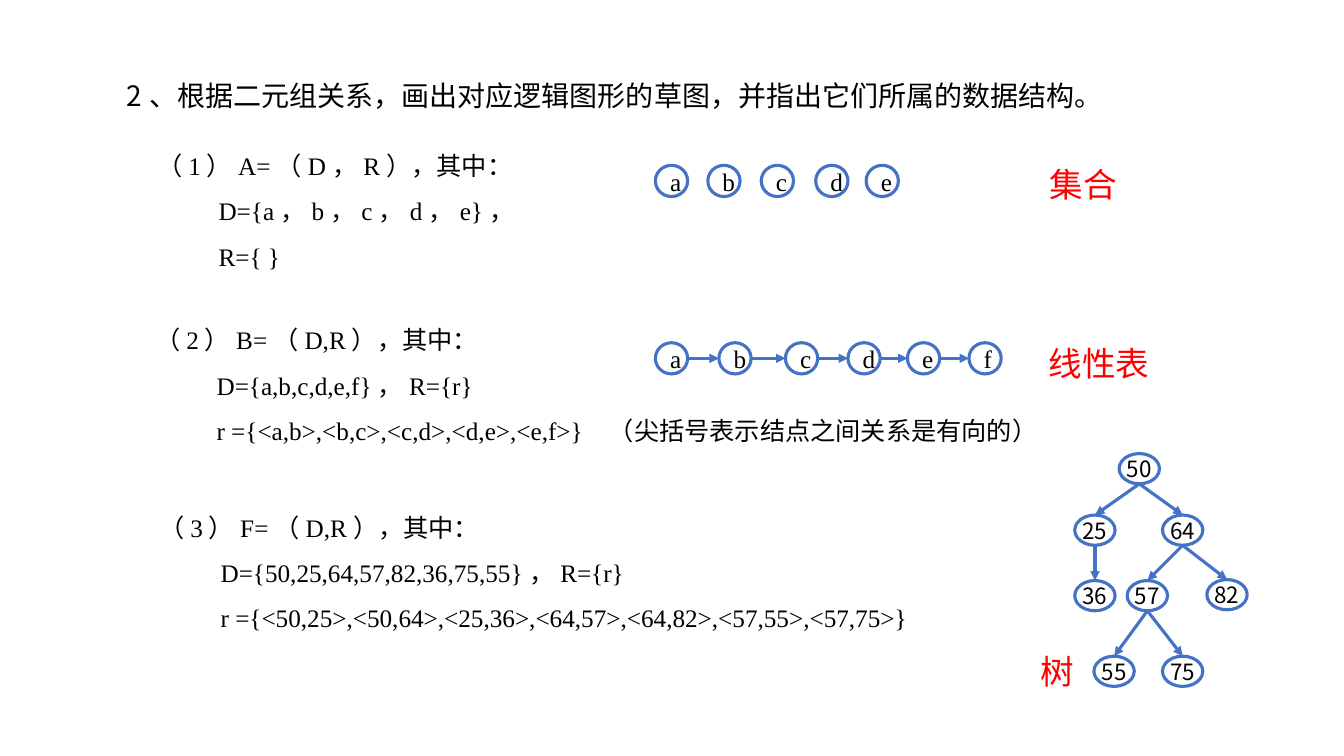
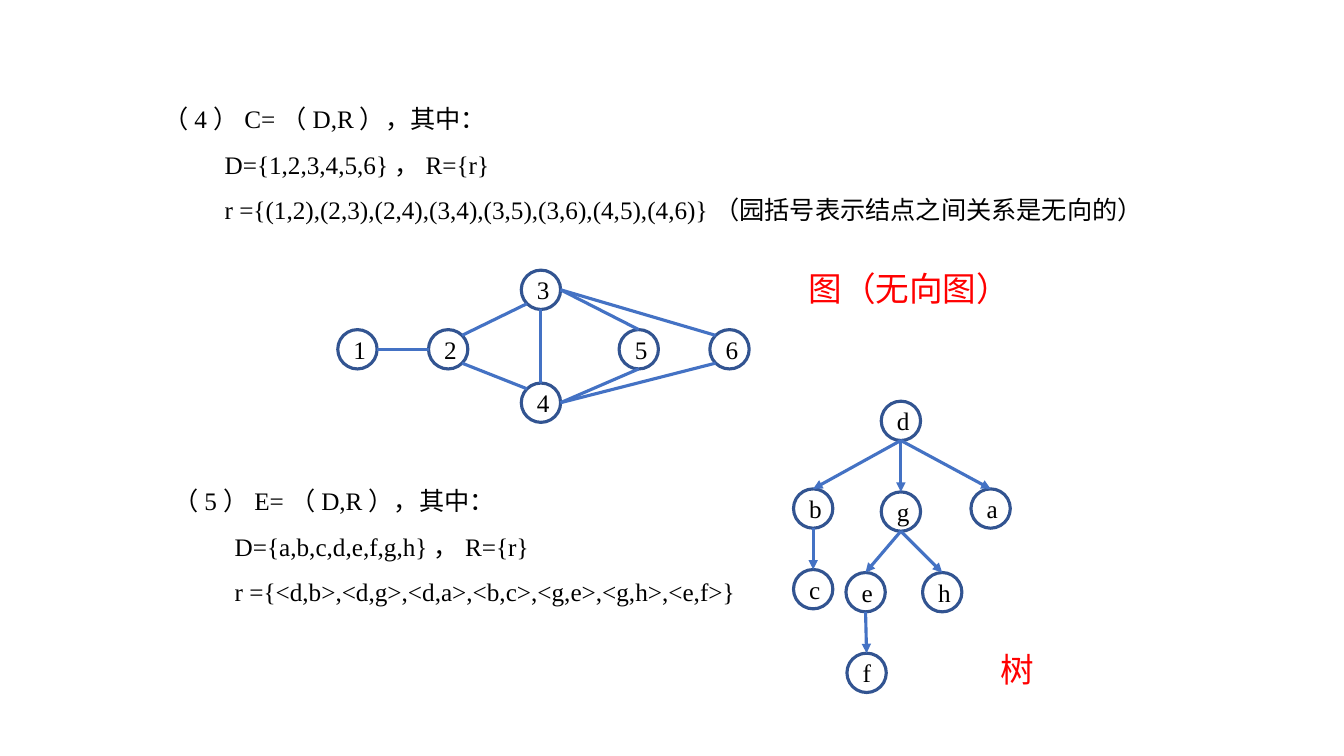
from dataclasses import dataclass
from math import cos, pi, sin
from typing import NamedTuple

from lxml import etree
from pptx import Presentation
from pptx import util as u
from pptx.dml.color import RGBColor
from pptx.enum import shapes, text
from pptx.oxml.ns import qn

PX = 9144


@dataclass(frozen=True)
class Theme:
    black: str = "000000"
    red: str = "FF0000"
    blue: str = "4472C4"
    navy: str = "325491"
    sans: str = "Noto Sans CJK SC"
    serif: str = "Times New Roman"
    head: int = 20
    body: int = 18
    tag: int = 24
    small: int = 16
    line: float = 2.25
    lead: float = 1.5
    indent: int = 61
    tab: int = 448


T = Theme()


class Kind(NamedTuple):
    wide: int
    high: int
    edge: str
    font: str
    size: int
    pad: bool


class Node(NamedTuple):
    name: str
    x: int
    y: int


class Link(NamedTuple):
    start: str
    end: str
    out: int = 4
    into: int = 0


class Graph(NamedTuple):
    kind: Kind
    nodes: list[Node]
    links: list[Link]
    arrow: bool = True


class Block(NamedTuple):
    x: int
    y: int
    wide: int
    lines: list[str]


class Tag(NamedTuple):
    x: int
    y: int
    label: str


class Page(NamedTuple):
    title: str
    blocks: list[Block]
    graphs: list[Graph]
    tags: list[Tag]


BEAD = Kind(32, 31, T.blue, T.serif, T.body, True)
OVAL = Kind(40, 30, T.blue, T.sans, T.small, False)
DISC = Kind(39, 39, T.navy, T.serif, T.body, True)


def row(names: str, spots: list[int], y: int) -> list[Node]:
    return [Node(name, x, y) for name, x in zip(names, spots)]


def tree(pairs: str) -> list[Link]:
    return [Link(*pair.split("-")) for pair in pairs.split()]


def chain(names: str) -> list[Link]:
    return [Link(a, b, 6, 2) for a, b in zip(names, names[1:])]


PAGES = [
    Page(
        "2、根据二元组关系，画出对应逻辑图形的草图，并指出它们所属的数据结构。",
        [
            Block(146, 129, 667, ["（1）A=（D，R），其中：", "D={a，b，c，d，e}，", "R={ }"]),
            Block(144, 302, 974, [
                "（2）B=（D,R），其中：",
                "D={a,b,c,d,e,f}，R={r}",
                "r ={<a,b>,<b,c>,<c,d>,<d,e>,<e,f>}\t（尖括号表示结点之间关系是有向的）",
            ]),
            Block(148, 488, 780, [
                "（3）F=（D,R），其中：",
                "D={50,25,64,57,82,36,75,55}，R={r}",
                "r ={<50,25>,<50,64>,<25,36>,<64,57>,<64,82>,<57,55>,<57,75>}",
            ]),
        ],
        [
            Graph(BEAD, row("abcde", [650, 702, 755, 809, 859], 164), []),
            Graph(BEAD, row("abcdef", [650, 713, 779, 841, 900, 961], 340), chain("abcdef")),
            Graph(
                OVAL,
                [
                    Node("50", 1110, 450),
                    Node("25", 1066, 511), Node("64", 1153, 511),
                    Node("36", 1066, 576), Node("57", 1118, 576), Node("82", 1197, 575),
                    Node("55", 1085, 651), Node("75", 1153, 651),
                ],
                tree("50-25 50-64 25-36 64-57 64-82 57-55 57-75"),
            ),
        ],
        [Tag(1031, 158, "集合"), Tag(1030, 335, "线性表"), Tag(1022, 641, "树")],
    ),
    Page(
        "",
        [
            Block(152, 83, 1006, [
                "（4）C=（D,R），其中：",
                "D={1,2,3,4,5,6}，R={r}",
                "r ={(1,2),(2,3),(2,4),(3,4),(3,5),(3,6),(4,5),(4,6)}（园括号表示结点之间关系是无向的）",
            ]),
            Block(162, 462, 600, [
                "（5）E=（D,R），其中：",
                "D={a,b,c,d,e,f,g,h}，R={r}",
                "r ={<d,b>,<d,g>,<d,a>,<b,c>,<g,e>,<g,h>,<e,f>}",
            ]),
        ],
        [
            Graph(
                DISC,
                row("1256", [335, 425, 614, 704], 327) + [Node("3", 517, 268), Node("4", 517, 380)],
                [
                    Link("1", "2", 6, 2), Link("2", "3", 7, 3), Link("2", "4", 5, 1),
                    Link("3", "4"), Link("3", "5", 6, 0), Link("4", "5", 6, 4),
                    Link("3", "6", 6, 1), Link("4", "6", 6, 3),
                ],
                False,
            ),
            Graph(
                DISC,
                [
                    Node("d", 874, 398),
                    Node("b", 787, 485), Node("g", 874, 488), Node("a", 963, 485),
                    Node("c", 787, 565), Node("e", 839, 568), Node("h", 915, 568),
                    Node("f", 840, 648),
                ],
                tree("d-b d-g d-a b-c g-e g-h e-f"),
            ),
        ],
        [Tag(792, 261, "图（无向图）"), Tag(982, 639, "树")],
    ),
]


def write(para, words: str, font: str, size: int, tint: str) -> None:
    run = para.add_run()
    run.text = words
    run.font.name = font
    run.font.size = u.Pt(size)
    run.font.color.rgb = RGBColor.from_string(tint)
    east = etree.SubElement(run.font._element, qn("a:ea"))
    east.set("typeface", T.sans)


def frame(slide, x: int, y: int, wide: int, high: int, wrap: bool = True):
    box = slide.shapes.add_textbox(x * PX, y * PX, wide * PX, high * PX).text_frame
    box.word_wrap = wrap
    box.auto_size = text.MSO_AUTO_SIZE.SHAPE_TO_FIT_TEXT
    return box


def draw_block(slide, block: Block) -> None:
    box = frame(slide, block.x, block.y, block.wide, 141)
    for i, words in enumerate(block.lines):
        para = box.add_paragraph() if i else box.paragraphs[0]
        props = para._p.get_or_add_pPr()
        if i:
            props.set("marL", "0")
            props.set("indent", str(T.indent * PX))
        if "\t" in words:
            tabs = etree.SubElement(props, qn("a:tabLst"))
            etree.SubElement(tabs, qn("a:tab"), pos=str(T.tab * PX), algn="l")
        para.line_spacing = T.lead
        write(para, words, T.serif, T.body, T.black)


def draw_tag(slide, tag: Tag) -> None:
    box = frame(slide, tag.x, tag.y, 34 * len(tag.label) + 20, 50, False)
    write(box.paragraphs[0], tag.label, T.sans, T.tag, T.red)


def draw_node(group, node: Node, kind: Kind):
    oval = group.shapes.add_shape(
        shapes.MSO_SHAPE.OVAL, node.x * PX, node.y * PX, kind.wide * PX, kind.high * PX)
    oval.shadow.inherit = False
    oval.fill.background()
    oval.line.color.rgb = RGBColor.from_string(kind.edge)
    oval.line.width = u.Pt(T.line)
    box = oval.text_frame
    box.vertical_anchor = text.MSO_ANCHOR.MIDDLE
    if not kind.pad:
        box.margin_left = box.margin_right = box.margin_top = box.margin_bottom = 0
    para = box.paragraphs[0]
    para.alignment = text.PP_ALIGN.CENTER
    write(para, node.name, kind.font, kind.size, T.black)
    return oval


def port(node: Node, kind: Kind, site: int) -> tuple[int, int]:
    turn = site * pi / 4
    x = node.x + kind.wide / 2 * (1 - sin(turn))
    y = node.y + kind.high / 2 * (1 - cos(turn))
    return round(x * PX), round(y * PX)


def draw_graph(slide, graph: Graph) -> None:
    group = slide.shapes.add_group_shape()
    spots = {node.name: node for node in graph.nodes}
    ovals = {node.name: draw_node(group, node, graph.kind) for node in graph.nodes}
    for link in graph.links:
        start = port(spots[link.start], graph.kind, link.out)
        end = port(spots[link.end], graph.kind, link.into)
        line = group.shapes.add_connector(shapes.MSO_CONNECTOR.STRAIGHT, *start, *end)
        line.line.color.rgb = RGBColor.from_string(T.blue)
        line.line.width = u.Pt(T.line)
        props = line._element.spPr
        if graph.arrow:
            etree.SubElement(props.find(qn("a:ln")), qn("a:tailEnd"), type="triangle")
        etree.SubElement(props, qn("a:effectLst"))
        glue = line._element.find(".//" + qn("p:cNvCxnSpPr"))
        for mark, name, site in (("a:stCxn", link.start, link.out), ("a:endCxn", link.end, link.into)):
            etree.SubElement(glue, qn(mark), id=str(ovals[name].shape_id), idx=str(site))


def draw_page(deck, page: Page) -> None:
    slide = deck.slides.add_slide(deck.slide_layouts[6])
    if page.title:
        box = frame(slide, 116, 73, 1006, 44)
        write(box.paragraphs[0], page.title, T.sans, T.head, T.black)
    for block in page.blocks:
        draw_block(slide, block)
    for graph in page.graphs:
        draw_graph(slide, graph)
    for tag in page.tags:
        draw_tag(slide, tag)


def main() -> None:
    deck = Presentation()
    deck.slide_width = 1333 * PX
    deck.slide_height = 750 * PX
    for page in PAGES:
        draw_page(deck, page)
    deck.save("out.pptx")


if __name__ == "__main__":
    main()
